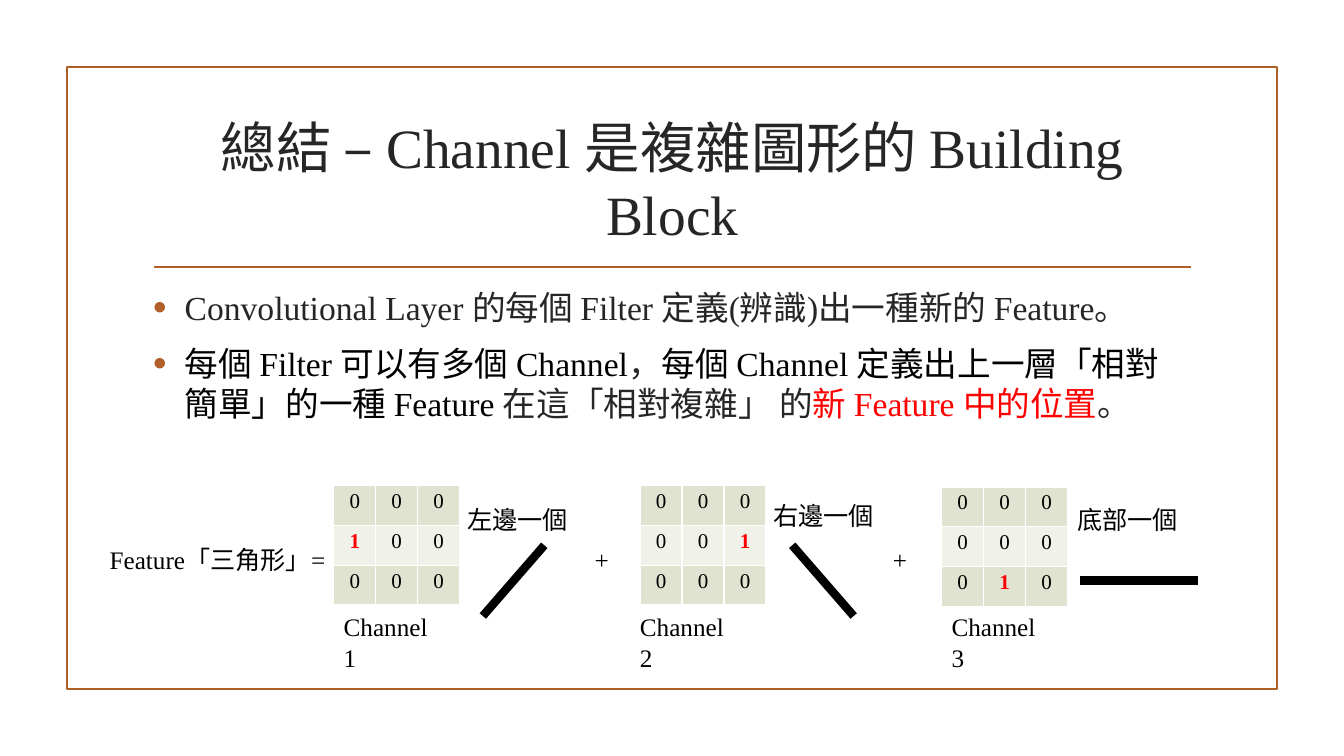
from lxml import etree
from pptx import Presentation
from pptx.dml.color import RGBColor
from pptx.enum.shapes import MSO_CONNECTOR, MSO_SHAPE
from pptx.enum.text import MSO_ANCHOR, MSO_AUTO_SIZE, PP_ALIGN
from pptx.oxml import parse_xml
from pptx.oxml.ns import qn
from pptx.util import Pt

LINE = MSO_CONNECTOR.STRAIGHT
RECT = MSO_SHAPE.RECTANGLE
MID, TOP = MSO_ANCHOR.MIDDLE, MSO_ANCHOR.TOP
NONE = MSO_AUTO_SIZE.NONE
LEFT, CENTER = PP_ALIGN.LEFT, PP_ALIGN.CENTER

FONT = "Times New Roman"
RUST, INK, BLACK, RED = "B15E28", "262626", "000000", "FF0000"
BANDS = ["DFE3D0", "F0F2E9"]
NS = 'xmlns:a="http://schemas.openxmlformats.org/drawingml/2006/main"'


def color(code):
    return RGBColor.from_string(code)


class Deck:
    """Hold the style and the current slide, and draw each kind of element."""

    def __init__(self):
        self.prs = Presentation()
        self.prs.slide_width, self.prs.slide_height = Pt(960), Pt(540)
        self.slide = self.prs.slides.add_slide(self.prs.slide_layouts[1])
        self.shapes = self.slide.shapes

    def style(self, item, values):
        for name, value in values.items():
            setattr(item, name, value)

    def text(self, para, runs, size, align=LEFT, bold=False):
        para.alignment = align
        for words, code in runs:
            run = para.add_run()
            run.text = words
            self.style(run.font, {"name": FONT, "size": Pt(size), "bold": bold})
            run.font.color.rgb = color(code)

    def place(self, holder, left, top, width, height, anchor):
        self.style(holder, {"left": Pt(left), "top": Pt(top),
                            "width": Pt(width), "height": Pt(height)})
        self.style(holder.text_frame, {"word_wrap": True, "auto_size": NONE,
                                       "vertical_anchor": anchor})
        return holder.text_frame

    def title(self, words, *box):
        frame = self.place(self.shapes.title, *box, MID)
        self.text(frame.paragraphs[0], [(words, INK)], 39.6, CENTER)

    def points(self, items, *box):
        frame = self.place(self.slide.placeholders[1], *box, TOP)
        for i, runs in enumerate(items):
            para = frame.add_paragraph() if i else frame.paragraphs[0]
            self.text(para, runs, 24)
            para.space_after = Pt(6)
            props = para._p.get_or_add_pPr()
            props.set("marL", str(Pt(22.5)))
            props.set("indent", str(-Pt(22.5)))
            for mark in (f'<a:buClr {NS}><a:srgbClr val="{RUST}"/></a:buClr>',
                         f'<a:buSzPct {NS} val="115000"/>',
                         f'<a:buFont {NS} typeface="Arial"/>',
                         f'<a:buChar {NS} char="•"/>'):
                props.append(parse_xml(mark))

    def label(self, words, left, top, width):
        box = self.shapes.add_textbox(0, 0, 0, 0)
        frame = self.place(box, left, top, width, 29, TOP)
        self.text(frame.paragraphs[0], [(words, BLACK)], 18)

    def frame(self, left, top, width, height):
        box = self.shapes.add_shape(RECT, Pt(left), Pt(top), Pt(width), Pt(height))
        box.shadow.inherit = False
        box.fill.background()
        box.line.color.rgb = color(RUST)
        box.line.width = Pt(1.25)

    def line(self, x1, y1, x2, y2, code, width):
        line = self.shapes.add_connector(LINE, Pt(x1), Pt(y1), Pt(x2), Pt(y2))
        line.line.color.rgb = color(code)
        line.line.width = Pt(width)
        etree.SubElement(line._element.spPr, qn("a:effectLst"))

    def grid(self, left, top, spot, side=30, high=28.4):
        table = self.shapes.add_table(3, 3, Pt(left), Pt(top),
                                      Pt(3 * side), Pt(3 * high)).table
        for i in range(3):
            table.columns[i].width, table.rows[i].height = Pt(side), Pt(high)
            for j in range(3):
                self.cell(table.cell(i, j), BANDS[i % 2], (i, j) == spot)

    def cell(self, cell, band, hot):
        self.style(cell, {"margin_left": Pt(6), "margin_right": Pt(6),
                          "margin_top": Pt(3), "margin_bottom": Pt(3)})
        props = cell._tc.get_or_add_tcPr()
        for edge in "LRTB":
            props.append(parse_xml(
                f'<a:ln{edge} {NS} w="{Pt(1)}"><a:solidFill>'
                f'<a:srgbClr val="FFFFFF"/></a:solidFill></a:ln{edge}>'))
        cell.fill.solid()
        cell.fill.fore_color.rgb = color(band)
        run = ("1", RED) if hot else ("0", BLACK)
        self.text(cell.text_frame.paragraphs[0], [run], 15, CENTER, hot)


def main():
    deck = Deck()
    deck.frame(48, 48, 864, 444)
    deck.line(110, 190.8, 850.5, 190.8, RUST, 1.25)
    deck.title("總結 – Channel 是複雜圖形的 Building Block", 102.2, 77, 756, 103)
    deck.points([
        [("Convolutional Layer 的每個 Filter 定義(辨識)出一種新的 Feature。", INK)],
        [("每個 Filter 可以有多個 Channel", BLACK), ("，", INK),
         ("每個 Channel 定義出上一層「相對簡單」的一種 Feature ", BLACK),
         ("在這「相對複雜」 的", INK), ("新 Feature 中的位置", RED), ("。", INK)],
    ], 102.2, 201.6, 756, 261.4)

    parts = [
        (238.4, 347, (1, 0), 238.4, "左邊一個", 326.7, 356.4, (388.8, 389.5, 344.9, 440)),
        (457.2, 347, (1, 2), 450, "右邊一個", 545.2, 354, (565.9, 389.5, 609.8, 440)),
        (672.6, 347.8, (2, 1), 672.6, "底部一個", 762.3, 356.4, (771.1, 414.7, 856, 414.7)),
    ]
    for num, (left, top, spot, name, side, x, y, stroke) in enumerate(parts, 1):
        deck.grid(left, top, spot)
        deck.label(f"Channel {num}", name, 433.4, 85.5)
        deck.line(*stroke, BLACK, 6)
        deck.label(side, x, y, 87.2)

    deck.label("Feature「三角形」=", 71.2, 385.2, 170)
    for left in (417.6, 630.7):
        deck.label("+", left, 385.2, 26.6)
    deck.prs.save("out.pptx")


if __name__ == "__main__":
    main()
